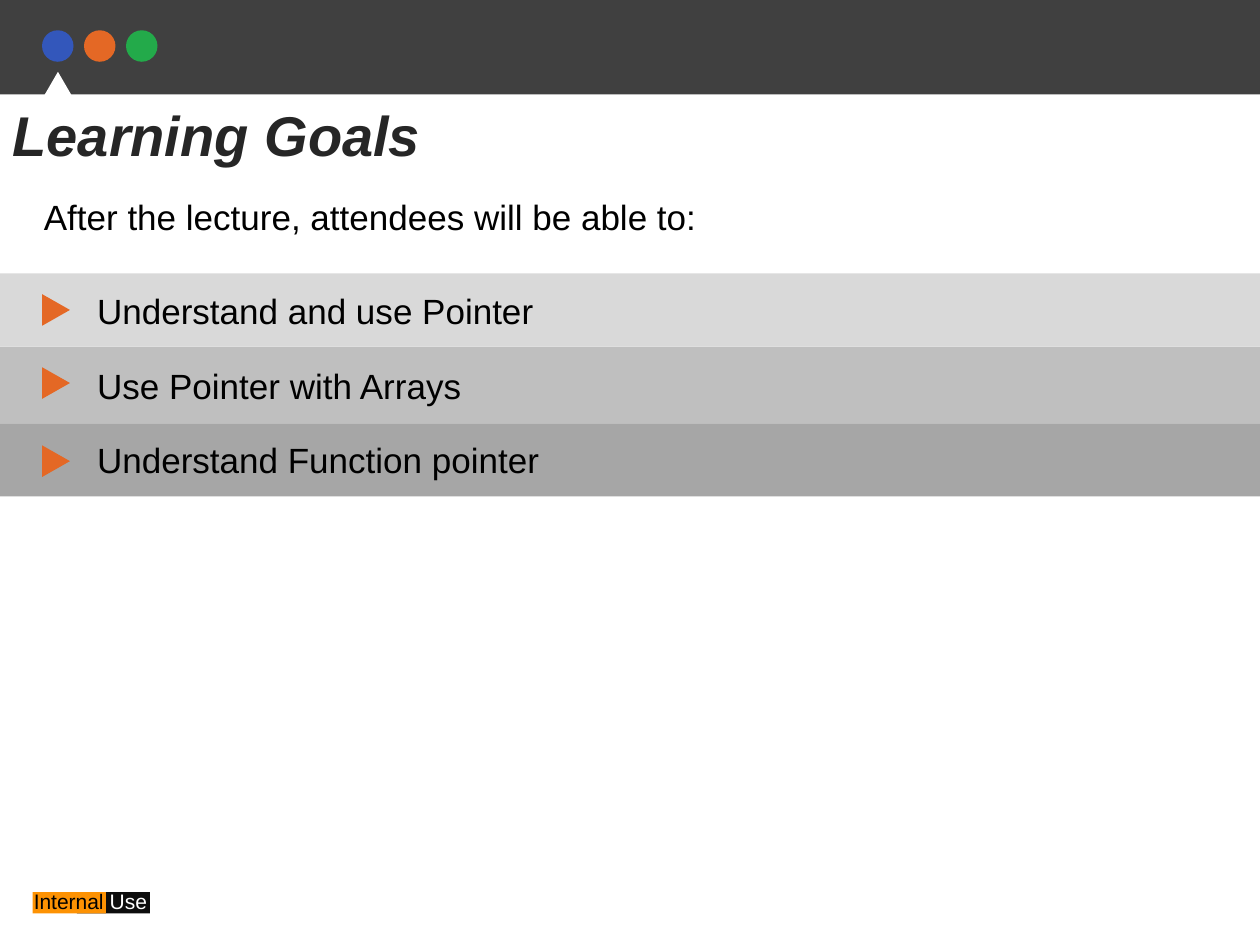
from lxml import etree
from pptx import Presentation
from pptx.dml.color import RGBColor
from pptx.enum import shapes, text
from pptx.util import Inches, Pt

ORANGE, WHITE, BLACK = "E46825", "FFFFFF", "000000"
GOALS = ["Understand and use Pointer", "Use Pointer with Arrays",
         "Understand Function pointer"]


def color(value):
    return RGBColor.from_string(value)


def write(para, words, size=20, ink=BLACK, bold=False, italic=False):
    span = para.add_run()
    span.text = words
    font = span.font
    font.name, font.size, font.bold, font.italic = "Arial", Pt(size), bold, italic
    font.color.rgb = color(ink)


class Page:
    def __init__(self, deck):
        self.slide = deck.slides.add_slide(deck.slide_layouts[1])
        self.shapes = self.slide.shapes

    def shape(self, kind, left, top, width, height, fill, turn=0):
        shape = self.shapes.add_shape(kind, Inches(left), Inches(top),
                                      Inches(width), Inches(height))
        shape.shadow.inherit = False
        shape.fill.solid()
        shape.fill.fore_color.rgb = color(fill)
        shape.line.fill.background()
        shape.rotation = turn

    def frame(self, box):
        frame = box.text_frame
        frame.word_wrap = True
        frame.auto_size = text.MSO_AUTO_SIZE.NONE
        frame.vertical_anchor = text.MSO_ANCHOR.TOP
        return frame

    def label(self, left, top, width, height):
        box = self.shapes.add_textbox(Inches(left), Inches(top),
                                      Inches(width), Inches(height))
        return self.frame(box).paragraphs[0]

    def placeholder(self, index, left, top, width, height):
        box = self.slide.placeholders[index]
        box.left, box.top = Inches(left), Inches(top)
        box.width, box.height = Inches(width), Inches(height)
        # Bring the text in front of the bands
        self.shapes._spTree.append(box._element)
        return self.frame(box)

    def plain_list(self, frame, items, gap):
        for number, item in enumerate(items):
            para = frame.add_paragraph() if number else frame.paragraphs[0]
            para.space_before, para.space_after = Pt(0), Pt(gap)
            props = para._p.get_or_add_pPr()
            props.set("marL", "0")
            props.set("indent", "0")
            etree.SubElement(props, "{http://schemas.openxmlformats.org/"
                                    "drawingml/2006/main}buNone")
            write(para, item)


deck = Presentation()
deck.slide_width, deck.slide_height = Inches(10), Inches(7.5)
page = Page(deck)
kinds = shapes.MSO_SHAPE

# Header bar with dots and pointer
page.shape(kinds.RECTANGLE, 0, 0, 10, 0.75, "404040")
for number, fill in enumerate(["3357BB", ORANGE, "23AA4A"], 1):
    page.shape(kinds.OVAL, number / 3, 0.24, 0.25, 0.25, fill)
page.shape(kinds.ISOSCELES_TRIANGLE, 0.17, 0.57, 0.58, 0.5, WHITE)

# Classification tag
page.shape(kinds.RECTANGLE, 0.61, 7.08, 0.58, 0.17, "0D0D0D")
page.shape(kinds.RECTANGLE, 0.26, 7.08, 0.58, 0.17, "FD9203")
tag = page.label(0.17, 7, 1.5, 0.3)
write(tag, "Internal ", size=12)
write(tag, "Use", size=12, ink=WHITE)

# Title and introduction
title = page.placeholder(0, 0, 0.75, 4.67, 0.64).paragraphs[0]
title.alignment = text.PP_ALIGN.LEFT
write(title, "Learning Goals", size=32, ink="262626", bold=True, italic=True)
write(page.label(0.25, 1.5, 6, 0.4),
      "After the lecture, attendees will be able to:")

# Goal bands with markers
for top, height, marker, fill in [(2.17, 0.58, 2.35, "D9D9D9"),
                                  (2.75, 0.61, 2.93, "BFBFBF"),
                                  (3.36, 0.58, 3.55, "A6A6A6")]:
    page.shape(kinds.RECTANGLE, 0, top, 10, height, fill)
    page.shape(kinds.ISOSCELES_TRIANGLE, 0.32, marker, 0.25, 0.22, ORANGE, turn=90)

# Goals
page.plain_list(page.placeholder(1, 0.67, 2.25, 8.92, 1.6), GOALS, gap=18.4)

deck.save("out.pptx")
